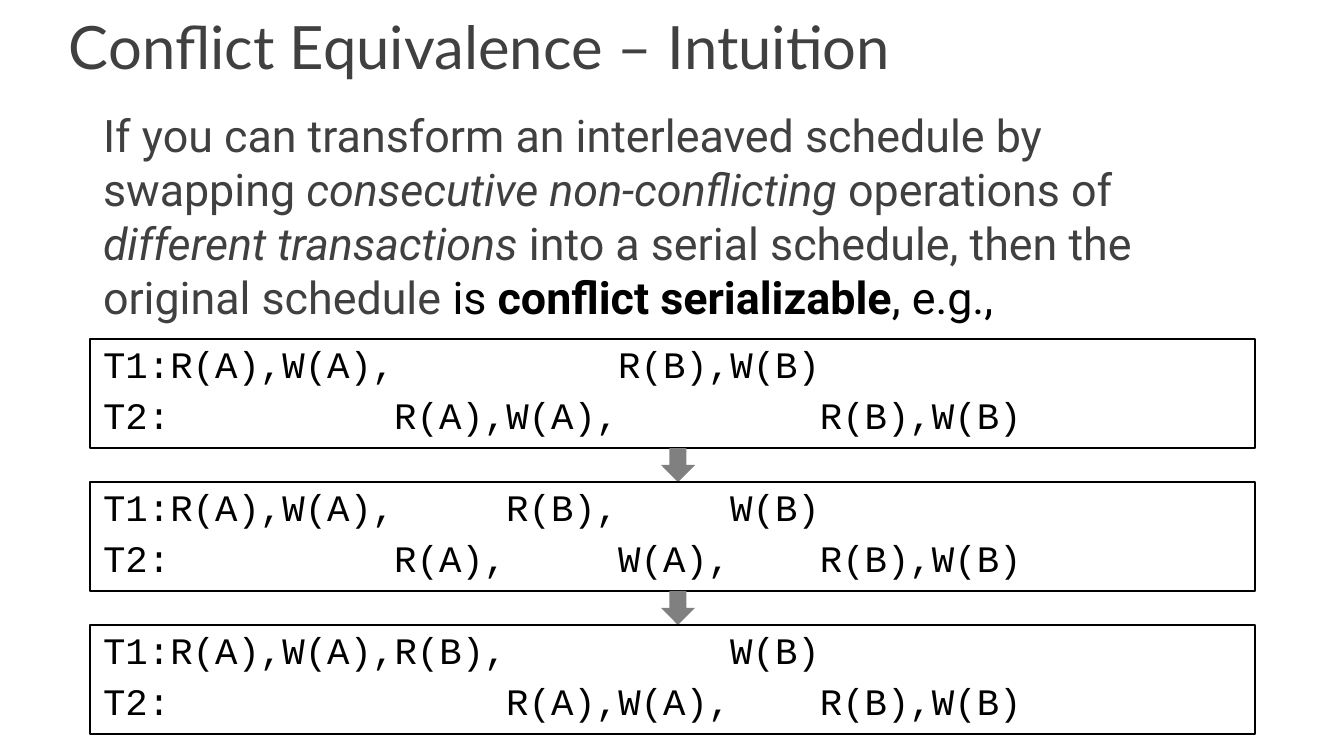
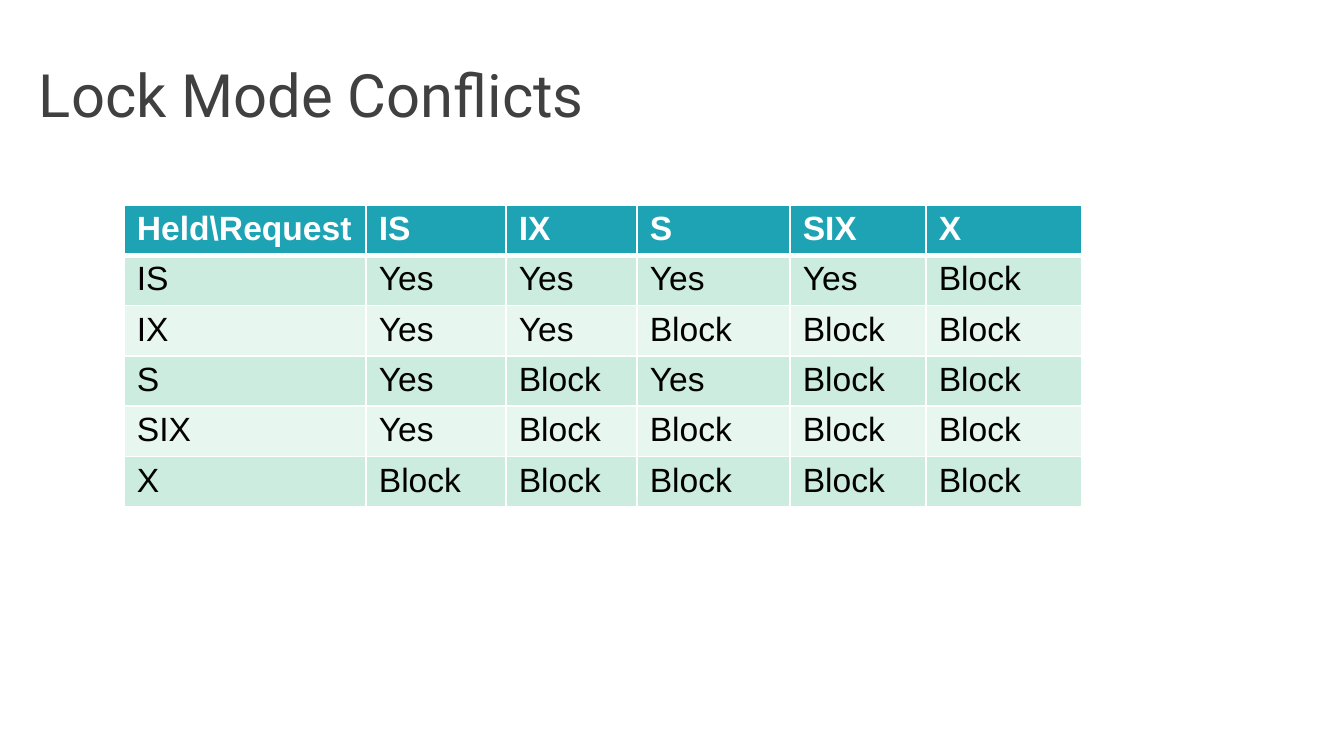
from lxml import etree
from pptx import Presentation
from pptx.dml.color import RGBColor
from pptx.enum.shapes import MSO_SHAPE
from pptx.enum.text import MSO_ANCHOR, PP_ALIGN
from pptx.oxml.ns import qn
from pptx.util import Pt

RECTANGLE = MSO_SHAPE.RECTANGLE
DOWN_ARROW = MSO_SHAPE.DOWN_ARROW
TOP = MSO_ANCHOR.TOP
MIDDLE = MSO_ANCHOR.MIDDLE
LEFT = PP_ALIGN.LEFT

BLACK = RGBColor(0x00, 0x00, 0x00)
WHITE = RGBColor(0xFF, 0xFF, 0xFF)
DARK_GRAY = RGBColor(0x40, 0x40, 0x40)
ARROW_GRAY = RGBColor(0x80, 0x80, 0x80)
TEAL = RGBColor(0x1E, 0xA3, 0xB5)
MINT = RGBColor(0xCB, 0xEC, 0xDE)
PALE_MINT = RGBColor(0xE7, 0xF6, 0xEF)

PX_PER_INCH = 134.4
CHARACTER_WIDTH = 22.4
SIDE_INSET = 13
TEXT_INSET = 7
CELL_INSET = 5

INTUITION = [
    ("If you can transform an interleaved schedule by swapping ", {}),
    ("consecutive non-conflicting ", {"italic": True}),
    ("operations of ", {}),
    ("different transactions ", {"italic": True}),
    ("into a serial schedule, then the original schedule ", {}),
    ("is ", {"color": BLACK}),
    ("conflict serializable", {"color": BLACK, "bold": True}),
    (", e.g.,", {"color": BLACK}),
]

SCHEDULES = [
    [
        [(0, "T1:R(A),W(A),"), (23, "R(B),W(B)")],
        [(0, "T2:"), (13, "R(A),W(A),"), (32, "R(B),W(B)")],
    ],
    [
        [(0, "T1:R(A),W(A),"), (18, "R(B),"), (28, "W(B)")],
        [(0, "T2:"), (13, "R(A),"), (23, "W(A),"), (32, "R(B),W(B)")],
    ],
    [
        [(0, "T1:R(A),W(A),R(B),"), (28, "W(B)")],
        [(0, "T2:"), (18, "R(A),W(A),"), (32, "R(B),W(B)")],
    ],
]

LOCK_MODES = ["IS", "IX", "S", "SIX", "X"]
COMPATIBLE = {
    "IS": ["IS", "IX", "S", "SIX"],
    "IX": ["IS", "IX"],
    "S": ["IS", "S"],
    "SIX": ["IS"],
    "X": [],
}
COLUMN_WIDTHS = [242, 140, 131, 153, 136, 156]
ROW_HEIGHT = 40


def px(length):
    return round(length * 914400 / PX_PER_INCH)


def add_run(paragraph, text, font="Arial", size=18, color=BLACK, bold=False, italic=False):
    run = paragraph.add_run()
    run.text = text
    run.font.name = font
    run.font.size = Pt(size)
    run.font.color.rgb = color
    run.font.bold = bold
    run.font.italic = italic


def set_space_before(paragraph, percent):
    properties = paragraph._p.get_or_add_pPr()
    spacing = etree.SubElement(properties, qn("a:spcBef"))
    etree.SubElement(spacing, qn("a:spcPct"), val=str(percent * 1000))


def set_tab_stops(paragraph, columns):
    tabs = etree.SubElement(paragraph._p.get_or_add_pPr(), qn("a:tabLst"))
    for column in columns:
        position = px(column * CHARACTER_WIDTH)
        etree.SubElement(tabs, qn("a:tab"), pos=str(position), algn="l")


def prepare_frame(frame, anchor):
    frame.word_wrap = True
    frame.vertical_anchor = anchor
    frame.margin_left = frame.margin_right = px(SIDE_INSET)
    frame.margin_top = frame.margin_bottom = px(TEXT_INSET)
    return frame


def add_text_box(slide, box, anchor=TOP):
    shape = slide.shapes.add_textbox(*map(px, box))
    return prepare_frame(shape.text_frame, anchor)


def add_title(slide, box, text, font):
    frame = add_text_box(slide, box, MIDDLE)
    add_run(frame.paragraphs[0], text, font=font, size=32, color=DARK_GRAY)


def add_intuition(slide, box):
    paragraph = add_text_box(slide, box).paragraphs[0]
    set_space_before(paragraph, 20)
    for text, style in INTUITION:
        add_run(paragraph, text, **{"font": "Roboto", "size": 24, "color": DARK_GRAY, **style})


def add_schedule(slide, box, transactions):
    shape = slide.shapes.add_shape(RECTANGLE, *map(px, box))
    shape.shadow.inherit = False
    shape.fill.background()
    shape.line.color.rgb = BLACK
    shape.line.width = Pt(1)
    frame = prepare_frame(shape.text_frame, TOP)
    for index, segments in enumerate(transactions):
        paragraph = frame.add_paragraph() if index else frame.paragraphs[0]
        paragraph.alignment = LEFT
        paragraph.line_spacing = 0.9
        set_space_before(paragraph, 30)
        set_tab_stops(paragraph, [column for column, _ in segments[1:]])
        text = "\t".join(operations for _, operations in segments)
        add_run(paragraph, text, font="Courier New", size=20)


def add_arrow(slide, box):
    shape = slide.shapes.add_shape(DOWN_ARROW, *map(px, box))
    shape.shadow.inherit = False
    shape.fill.solid()
    shape.fill.fore_color.rgb = ARROW_GRAY
    shape.line.fill.background()


def add_schedule_chain(slide, box, gap):
    left, top, width, height = box
    schedule_height = (height - gap * (len(SCHEDULES) - 1)) // len(SCHEDULES)
    for index, transactions in enumerate(SCHEDULES):
        schedule_top = top + index * (schedule_height + gap)
        if index:
            add_arrow(slide, (left + 571, schedule_top - gap, gap, gap))
        add_schedule(slide, (left, schedule_top, width, schedule_height), transactions)


def set_borders(cell, **widths):
    properties = cell._tc.get_or_add_tcPr()
    for side in "LRTB":
        width = Pt(widths.get(side, 1))
        line = etree.SubElement(properties, qn(f"a:ln{side}"), w=str(width))
        fill = etree.SubElement(line, qn("a:solidFill"))
        etree.SubElement(fill, qn("a:srgbClr"), val=str(WHITE))


def fill_cell(cell, text, row):
    header = row == 0
    set_borders(cell, T=3 if row == 1 else 1, B=3 if header else 1)
    cell.fill.solid()
    cell.fill.fore_color.rgb = TEAL if header else MINT if row % 2 else PALE_MINT
    cell.margin_left = cell.margin_right = px(SIDE_INSET)
    cell.margin_top = cell.margin_bottom = px(CELL_INSET)
    add_run(cell.text_frame.paragraphs[0], text, color=WHITE if header else BLACK, bold=header)


def add_lock_table(slide, left, top):
    rows = [["Held\\Request", *LOCK_MODES]]
    for held in LOCK_MODES:
        answers = ["Yes" if mode in COMPATIBLE[held] else "Block" for mode in LOCK_MODES]
        rows.append([held, *answers])
    box = (left, top, sum(COLUMN_WIDTHS), ROW_HEIGHT * len(rows))
    table = slide.shapes.add_table(len(rows), len(COLUMN_WIDTHS), *map(px, box)).table
    table.horz_banding = False
    for column, width in zip(table.columns, COLUMN_WIDTHS):
        column.width = px(width)
    for row, texts in enumerate(rows):
        table.rows[row].height = px(ROW_HEIGHT)
        for column, text in enumerate(texts):
            fill_cell(table.cell(row, column), text, row)


def add_equivalence_slide(slide):
    add_title(slide, (56, 16, 1254, 59), "Conflict Equivalence – Intuition", "Lato")
    add_intuition(slide, (90, 101, 1165, 261))
    add_schedule_chain(slide, (90, 339, 1165, 395), 34)


def add_lock_slide(slide):
    add_title(slide, (26, 31, 1301, 126), "Lock Mode Conflicts", "Roboto")
    add_lock_table(slide, 124, 205)


def main():
    presentation = Presentation()
    presentation.slide_width = px(1344)
    presentation.slide_height = px(756)
    blank = presentation.slide_layouts[6]
    for build in (add_equivalence_slide, add_lock_slide):
        build(presentation.slides.add_slide(blank))
    presentation.save("out.pptx")


if __name__ == "__main__":
    main()
